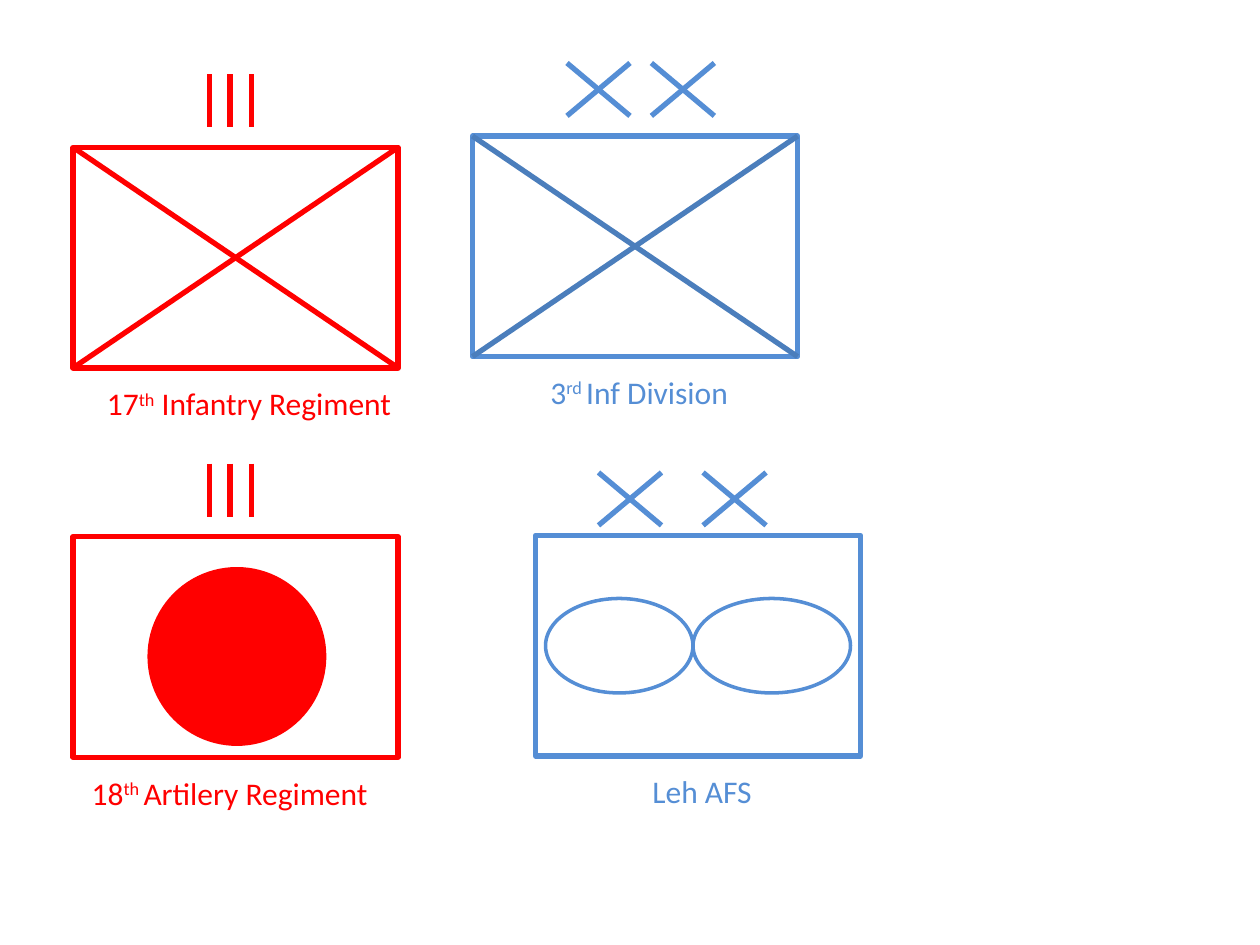
from dataclasses import dataclass

from pptx import Presentation
from pptx.dml.color import RGBColor
from pptx.enum.shapes import MSO_CONNECTOR as CONN, MSO_SHAPE as SHAPE
from pptx.enum.text import MSO_AUTO_SIZE as AUTO
from pptx.oxml.ns import qn
from pptx.util import Inches, Pt
from lxml.etree import SubElement


@dataclass(frozen=True)
class Theme:
    red: RGBColor = RGBColor(0xFF, 0x00, 0x00)
    blue: RGBColor = RGBColor(0x55, 0x8E, 0xD5)
    dark_blue: RGBColor = RGBColor(0x4B, 0x7E, 0xBC)
    font: str = "Calibri"
    size: Pt = Pt(18)
    thick: Pt = Pt(3)
    thin: Pt = Pt(2)


T = Theme()
FRAME_W, FRAME_H = 2.58, 1.75
MARK_W, MARK_H = 0.5, 0.42


def add_line(grp, x1, y1, x2, y2, color):
    ln = grp.shapes.add_connector(CONN.STRAIGHT, Inches(x1), Inches(y1), Inches(x2), Inches(y2))
    ln.line.color.rgb = color
    ln.line.width = T.thick
    SubElement(ln._element.spPr, qn("a:effectLst"))


def add_cross(grp, x, y, w, h, color):
    add_line(grp, x, y, x + w, y + h, color)
    add_line(grp, x, y + h, x + w, y, color)


def add_outline(grp, kind, x, y, w, h, *, line=None, width=T.thick, fill=None):
    sp = grp.shapes.add_shape(kind, Inches(x), Inches(y), Inches(w), Inches(h))
    sp.shadow.inherit = False
    if fill is None:
        sp.fill.background()
    else:
        sp.fill.solid()
        sp.fill.fore_color.rgb = fill
    if line is None:
        sp.line.fill.background()
    else:
        sp.line.color.rgb = line
        sp.line.width = width


def add_text(grp, x, y, w, *, parts, color):
    """Place one line of text; every second part is superscript."""
    tb = grp.shapes.add_textbox(Inches(x), Inches(y), Inches(w), Inches(0.4))
    tf = tb.text_frame
    tf.word_wrap = False
    tf.auto_size = AUTO.SHAPE_TO_FIT_TEXT
    p = tf.paragraphs[0]
    for i, part in enumerate(parts):
        r = p.add_run()
        r.text = part
        r.font.name, r.font.size = T.font, T.size
        r.font.color.rgb = color
        if i % 2:
            r.font._element.set("baseline", "30000")


def add_unit(slide, x, y, *, parts, label_dx, label_w, color):
    """Frame and caption shared by every unit symbol."""
    grp = slide.shapes.add_group_shape()
    add_outline(grp, SHAPE.RECTANGLE, x, y, FRAME_W, FRAME_H, line=color)
    add_text(grp, x + label_dx, y + 1.83, label_w, parts=parts, color=color)
    return grp


def add_regiment_bars(grp, x, y):
    for i in range(3):
        bar_x = x + 1.08 + i / 6
        add_line(grp, bar_x, y - 0.58, bar_x, y - 0.58 + MARK_H, T.red)


def add_division_crosses(grp, x, y, *, offsets, rise):
    for dx in offsets:
        add_cross(grp, x + dx, y - rise, MARK_W, MARK_H, T.blue)


def infantry_regiment(slide, x, y):
    grp = add_unit(slide, x, y, parts=["17", "th", " Infantry Regiment"],
                   label_dx=0.17, label_w=2.5, color=T.red)
    add_regiment_bars(grp, x, y)
    add_cross(grp, x, y, FRAME_W, FRAME_H, T.red)


def infantry_division(slide, x, y):
    grp = add_unit(slide, x, y, parts=["3", "rd ", "Inf Division"],
                   label_dx=0.52, label_w=1.73, color=T.blue)
    add_division_crosses(grp, x, y, offsets=(0.75, 1.42), rise=0.58)
    add_cross(grp, x, y, FRAME_W, FRAME_H, T.dark_blue)


def artillery_regiment(slide, x, y):
    grp = add_unit(slide, x, y, parts=["18", "th ", "Artilery Regiment"],
                   label_dx=0.05, label_w=2.46, color=T.red)
    add_regiment_bars(grp, x, y)
    add_outline(grp, SHAPE.OVAL, x + 0.59, y + 0.24, 1.42, 1.42, fill=T.red)


def air_station(slide, x, y):
    grp = add_unit(slide, x, y, parts=["Leh AFS"],
                   label_dx=0.83, label_w=1, color=T.blue)
    add_division_crosses(grp, x, y, offsets=(0.5, 1.33), rise=0.5)
    # Propeller: two touching ellipses
    for dx, w in ((0.08, 1.17), (1.25, 1.25)):
        add_outline(grp, SHAPE.OVAL, x + dx, y + 0.5, w, 0.75, line=T.blue, width=T.thin)


def main():
    prs = Presentation()
    prs.slide_width, prs.slide_height = Inches(10), Inches(7.5)
    slide = prs.slides.add_slide(prs.slide_layouts[6])
    infantry_regiment(slide, 0.58, 1.17)
    infantry_division(slide, 3.75, 1.08)
    artillery_regiment(slide, 0.58, 4.26)
    air_station(slide, 4.25, 4.25)
    prs.save("out.pptx")


if __name__ == "__main__":
    main()
